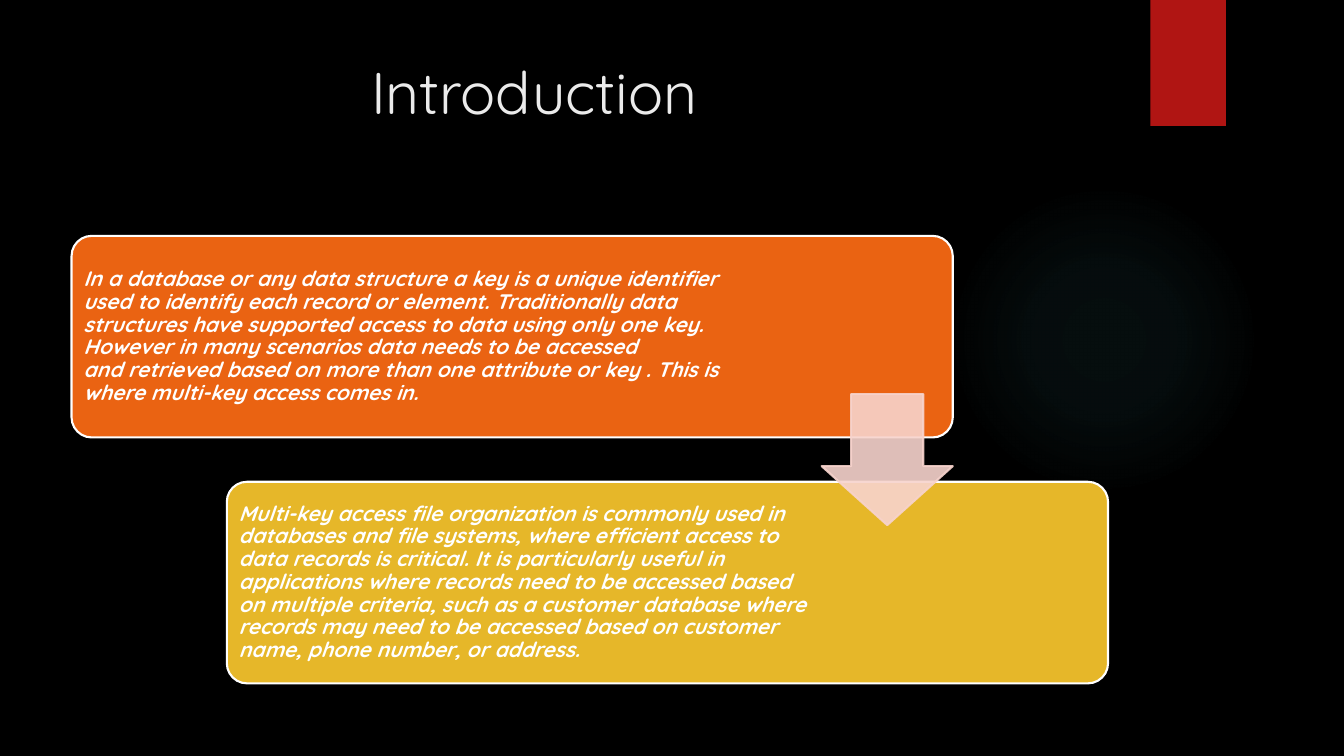
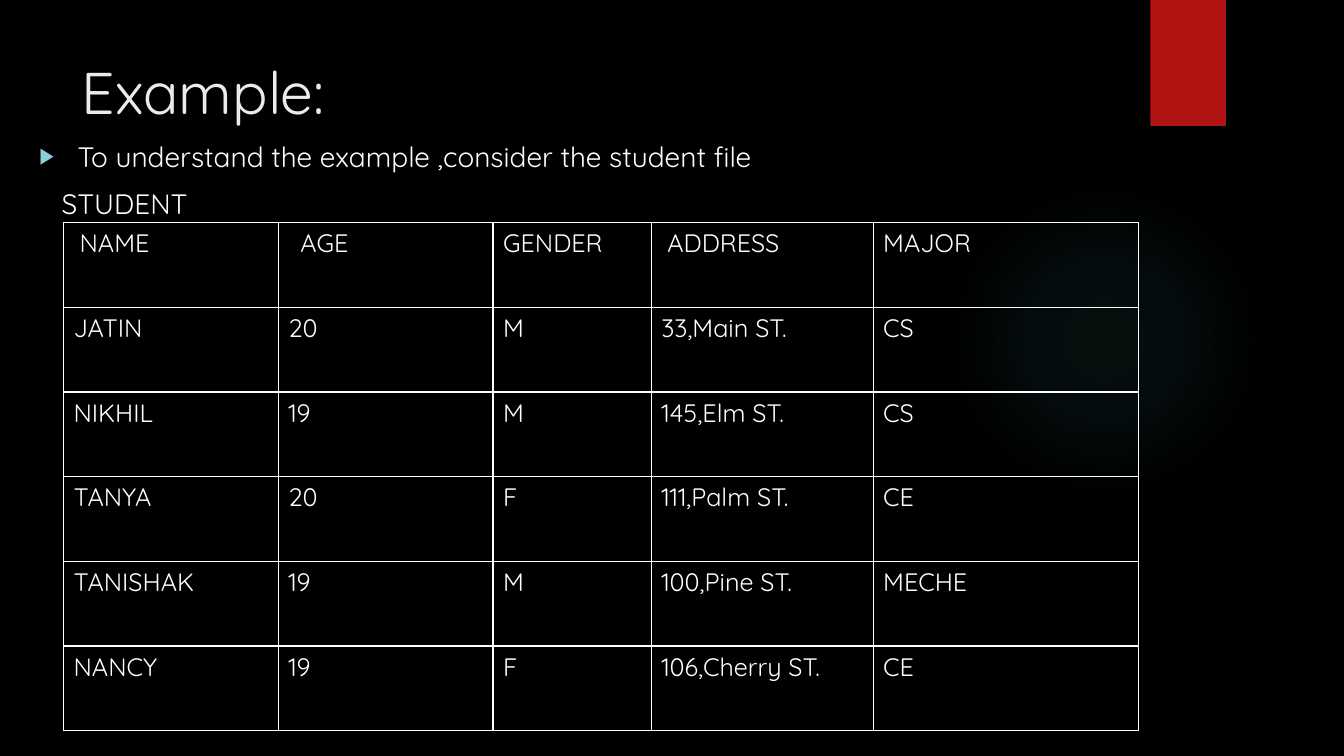
from lxml.etree import SubElement
from pptx import Presentation
from pptx.dml.color import RGBColor
from pptx.enum.shapes import MSO_SHAPE as Shape
from pptx.enum.text import MSO_ANCHOR as Anchor, MSO_AUTO_SIZE as AutoSize, PP_ALIGN as Align
from pptx.oxml import parse_xml
from pptx.oxml.ns import nsdecls, qn
from pptx.util import Inches, Pt


class Theme:
    font = "Quicksand"
    background, ribbon, glow = "000000", "B01513", "50B9C1"
    title, text, bullet = "EBEBEB", "FFFFFF", "8AD0D6"
    orange, yellow, arrow = "EA6312", "E6B729", "F7D3CC"
    title_size, body_size, cell_size, card_size = 42, 20, 18, 15
    outline = 1.5


def color(code):
    return RGBColor.from_string(code)


def write(frame, text, size, code=Theme.text, bold=False, italic=False,
          anchor=Anchor.TOP, spacing=None, before=0, more=False):
    """Write one paragraph into a text frame, after the others if more is set."""
    frame.word_wrap = True
    frame.auto_size = AutoSize.NONE
    frame.vertical_anchor = anchor
    para = frame.add_paragraph() if more else frame.paragraphs[0]
    para.alignment = Align.LEFT
    para.line_spacing = spacing
    para.space_before = Pt(before)
    span = para.add_run()
    span.text = text
    span.font.name, span.font.size = Theme.font, Pt(size)
    span.font.bold, span.font.italic = bold, italic
    span.font.color.rgb = color(code)
    return para


deck = Presentation()
deck.slide_width, deck.slide_height = Inches(13.33), Inches(7.5)
intro = deck.slides.add_slide(deck.slide_layouts[5])
example = deck.slides.add_slide(deck.slide_layouts[1])

# Master: background, glow and ribbon
master = deck.slide_master
master.background.fill.solid()
master.background.fill.fore_color.rgb = color(Theme.background)

glow = intro.shapes.add_shape(Shape.OVAL, Inches(9.41), Inches(1.83), Inches(3.08), Inches(3.08))
glow.fill.background()
stops = "".join(
    f'<a:gs pos="{place}000"><a:srgbClr val="{Theme.glow}"><a:alpha val="{alpha}000"/></a:srgbClr></a:gs>'
    for place, alpha in ((0, 7), (36, 6), (69, 0), (100, 0)))
gradient = parse_xml(
    f'<a:gradFill {nsdecls("a")}><a:gsLst>{stops}</a:gsLst><a:path path="circle">'
    '<a:fillToRect l="50000" t="50000" r="50000" b="50000"/></a:path></a:gradFill>')
outline = glow.element.spPr
outline.replace(outline.find(qn("a:noFill")), gradient)

ribbon = intro.shapes.add_shape(Shape.RECTANGLE, Inches(11.41), 0, Inches(0.75), Inches(1.25))
ribbon.fill.solid()
ribbon.fill.fore_color.rgb = color(Theme.ribbon)

for decor in (glow, ribbon):
    decor.shadow.inherit = False
    decor.line.fill.background()
    master.shapes.element.append(decor.element)

# Titles
for slide, words, indent in ((intro, "Introduction", 2.97), (example, "Example:", 0.1)):
    title = slide.shapes.title
    title.left, title.top, title.width, title.height = map(Inches, (0.71, 0.5, 10.29, 1.53))
    title.text_frame.margin_left = Inches(indent)
    write(title.text_frame, words, Theme.title_size, Theme.title)

# Introduction: two staggered cards
card_left, card_top, card_width, card_height = 0.71, 2.34, 8.74, 2
step_right, step_down = 1.54, 2.44
cards = (
    (Theme.orange, 2.0,
     "In a database or any data structure a key is a unique identifier used to identify each record "
     "or element. Traditionally data structures have supported access to data using only one key. "
     "However in many scenarios data needs to be accessed and\u00a0retrieved based on more than one "
     "attribute or key . This is where multi-key access comes in."),
    (Theme.yellow, 2.9,
     "Multi-key access file organization is commonly used in databases and file systems, where "
     "efficient access to data records is critical. It is particularly useful in applications where "
     "records need to be accessed based on multiple criteria, such as a customer database where "
     "records may need to be accessed based on customer name, phone number, or address."),
)
for index, (fill, right_margin, words) in enumerate(cards):
    card = intro.shapes.add_shape(
        Shape.ROUNDED_RECTANGLE, Inches(card_left + index * step_right),
        Inches(card_top + index * step_down), Inches(card_width), Inches(card_height))
    card.adjustments[0] = 0.1
    card.shadow.inherit = False
    card.fill.solid()
    card.fill.fore_color.rgb = color(fill)
    card.line.color.rgb = color(Theme.text)
    card.line.width = Pt(Theme.outline)
    frame = card.text_frame
    frame.margin_left = frame.margin_top = frame.margin_bottom = Inches(0.06)
    frame.margin_right = Inches(right_margin)
    write(frame, words, Theme.card_size, bold=True, italic=True, anchor=Anchor.MIDDLE, spacing=0.9)

# Arrow centred on the gap, flush with the first card's right edge
arrow_size = 1.3
gap_middle = card_top + (card_height + step_down) / 2
arrow = intro.shapes.add_shape(
    Shape.DOWN_ARROW, Inches(card_left + card_width - arrow_size),
    Inches(gap_middle - arrow_size / 2), Inches(arrow_size), Inches(arrow_size))
arrow.adjustments[0], arrow.adjustments[1] = 0.55, 0.45
arrow.shadow.inherit = False
arrow.fill.solid()
arrow.fill.fore_color.rgb = color(Theme.arrow)
arrow.line.color.rgb = color(Theme.arrow)
arrow.line.width = Pt(Theme.outline)
for tint in arrow.element.spPr.iter(qn("a:srgbClr")):
    SubElement(tint, qn("a:alpha"), val="90000")

# Example: bullet and table caption
body = example.placeholders[1]
body.left, body.top, body.width, body.height = map(Inches, (0.29, 1.33, 12.93, 5.91))
lead = write(body.text_frame, "To understand the example ,consider the student file",
             Theme.body_size, before=10)
caption = write(body.text_frame, "STUDENT", Theme.body_size, before=10, more=True)
for para, margin, hanging in ((lead, 0.38, -0.38), (caption, 0.22, 0)):
    props = para._p.get_or_add_pPr()
    props.set("marL", str(Inches(margin)))
    props.set("indent", str(Inches(hanging)))
    if para is lead:
        SubElement(SubElement(props, qn("a:buClr")), qn("a:srgbClr"), val=Theme.bullet)
        SubElement(props, qn("a:buSzPct"), val="80000")
        SubElement(props, qn("a:buChar"), char="\u25b6")
    else:
        SubElement(props, qn("a:buNone"))

# Example: student table
students = (
    ("NAME", "AGE", "GENDER", "ADDRESS", "MAJOR"),
    ("JATIN", "20", "M", "33,Main ST.", "CS"),
    ("NIKHIL", "19", "M", "145,Elm ST.", "CS"),
    ("TANYA", "20", "F", "111,Palm ST.", "CE"),
    ("TANISHAK", "19", "M", "100,Pine ST.", "MECHE"),
    ("NANCY", "19", "F", "106,Cherry ST.", "CE"),
)
column_widths = (2.13, 2.13, 1.57, 2.2, 2.63)
header_margins = (0.16, 0.22, 0.1, 0.16, 0.1)
row_height = 0.84
table = example.shapes.add_table(
    len(students), len(column_widths), Inches(0.63), Inches(2.21),
    Inches(sum(column_widths)), Inches(row_height * len(students))).table
table.first_row = table.horz_banding = False
for column, width in zip(table.columns, column_widths):
    column.width = Inches(width)
for row_index, record in enumerate(students):
    table.rows[row_index].height = Inches(row_height)
    for column_index, words in enumerate(record):
        cell = table.cell(row_index, column_index)
        cell.fill.background()
        cell.margin_left = Inches(0.1 if row_index else header_margins[column_index])
        write(cell.text_frame, words, Theme.cell_size)
        props = cell._tc.get_or_add_tcPr()
        for place, side in enumerate(("lnL", "lnR", "lnT", "lnB")):
            props.insert(place, parse_xml(
                f'<a:{side} {nsdecls("a")} w="{Pt(1)}"><a:solidFill>'
                f'<a:srgbClr val="{Theme.text}"/></a:solidFill></a:{side}>'))

deck.save("out.pptx")
